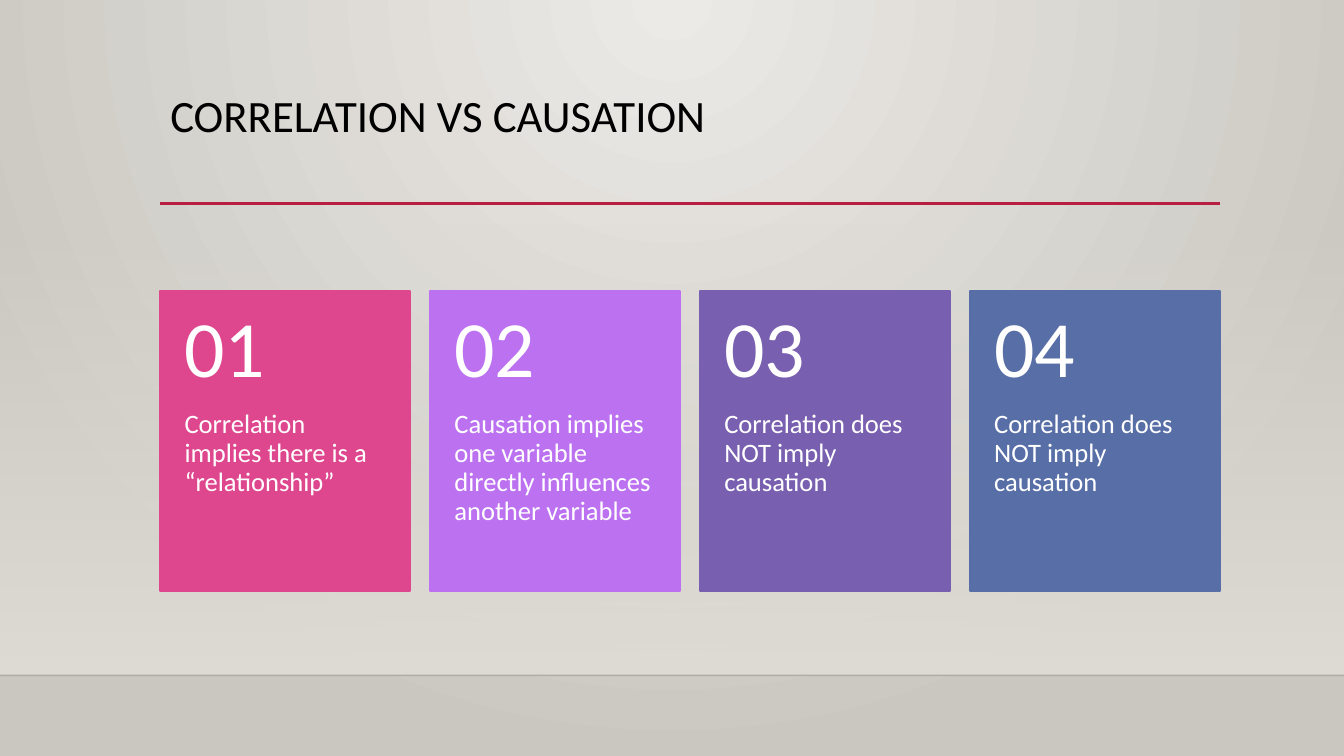
from lxml.etree import SubElement
from pptx import Presentation
from pptx.dml.color import RGBColor as RGB
from pptx.enum.shapes import MSO_CONNECTOR as CONNECTOR, MSO_SHAPE as SHAPE
from pptx.enum.text import MSO_ANCHOR as ANCHOR
from pptx.oxml.ns import qn
from pptx.util import Inches, Pt

COLORS = {"glow": "ECEAE7", "edge": "CAC7C1", "haze": "DFDBD5",
          "floor": "000001", "accent": "B71E42", "title": "000000",
          "white": "FFFFFF"}
CARDS = [("DE478E", "Correlation implies there is a “relationship”"),
         ("BC72F0", "Causation implies one variable directly influences another variable"),
         ("795FAF", "Correlation does NOT imply causation"),
         ("586EA6", "Correlation does NOT imply causation")]
W, H = 13.33, 7.5
LEFT, RIGHT = 1.59, 12.1
CARD_W, CARD_H, CARD_TOP = 2.48, 2.97, 2.89
STEP = (RIGHT - LEFT - CARD_W) / (len(CARDS) - 1)
NUMBER_H = 0.4 * CARD_H
FLOOR = 6.7

prs = Presentation()
prs.slide_width, prs.slide_height = Inches(W), Inches(H)
s = prs.slides.add_slide(prs.slide_layouts[6])


def add_text(text, x, y, w, h, size, color="white", anchor=ANCHOR.TOP,
             insets=(0.1, 0.05, 0.1, 0.05)):
    tf = s.shapes.add_textbox(*map(Inches, (x, y, w, h))).text_frame
    tf.word_wrap = True
    tf.vertical_anchor = anchor
    (tf.margin_left, tf.margin_top,
     tf.margin_right, tf.margin_bottom) = map(Inches, insets)
    p = tf.paragraphs[0]
    p.line_spacing = 0.9
    r = p.add_run()
    r.text = text
    r.font.name, r.font.size = "Calibri", Pt(size)
    r.font.color.rgb = RGB.from_string(COLORS[color])


def set_gradient(fill, *names):
    fill.gradient()
    for stop, name in zip(fill.gradient_stops, names):
        stop.color.rgb = RGB.from_string(COLORS[name])


# Backdrop: radial glow from the top centre
set_gradient(s.background.fill, "glow", "edge")
grad = s._element.find(".//" + qn("a:gradFill"))
grad.remove(grad.find(qn("a:lin")))
radial = SubElement(grad, qn("a:path"), {"path": "circle"})
SubElement(radial, qn("a:fillToRect"),
           {"l": "43000", "t": "0", "r": "43000", "b": "100000"})

# Haze that fades in down to the floor
haze = s.shapes.add_shape(SHAPE.RECTANGLE, 0, Inches(2.21), Inches(W), Inches(FLOOR - 2.21))
haze.shadow.inherit = False
haze.line.fill.background()
set_gradient(haze.fill, "haze", "haze")
haze.fill.gradient_angle = 270
clear = haze._element.find(".//" + qn("a:gs")).find(qn("a:srgbClr"))
SubElement(clear, qn("a:alpha"), {"val": "0"})

# Floor line and title rule
for x1, x2, y, color, width, alpha in [(0, W, FLOOR, "floor", 1, 20),
                                       (LEFT, RIGHT, 2.02, "accent", 2.5, 100)]:
    rule = s.shapes.add_connector(CONNECTOR.STRAIGHT, *map(Inches, (x1, y, x2, y)))
    rule.line.color.rgb = RGB.from_string(COLORS[color])
    rule.line.width = Pt(width)
    SubElement(rule._element.find(".//" + qn("a:srgbClr")), qn("a:alpha"),
               {"val": str(alpha * 1000)})
    SubElement(rule._element.spPr, qn("a:effectLst"))

add_text("CORRELATION VS CAUSATION", LEFT, 0.88, RIGHT - LEFT, 1.15, 32, "title")

# Numbered cards
for i, (color, text) in enumerate(CARDS):
    x = LEFT + i * STEP
    card = s.shapes.add_shape(SHAPE.RECTANGLE, *map(Inches, (x, CARD_TOP, CARD_W, CARD_H)))
    card.shadow.inherit = False
    card.fill.solid()
    card.fill.fore_color.rgb = card.line.color.rgb = RGB.from_string(color)
    card.line.width = Pt(1.25)
    add_text(text, x, CARD_TOP + NUMBER_H, CARD_W, CARD_H - NUMBER_H, 19,
             insets=(0.24, 0, 0.24, 0.36))
    add_text(f"{i + 1:02}", x, CARD_TOP, CARD_W, NUMBER_H, 57,
             anchor=ANCHOR.MIDDLE, insets=(0.24, 0.18, 0.24, 0.18))

prs.save("out.pptx")
